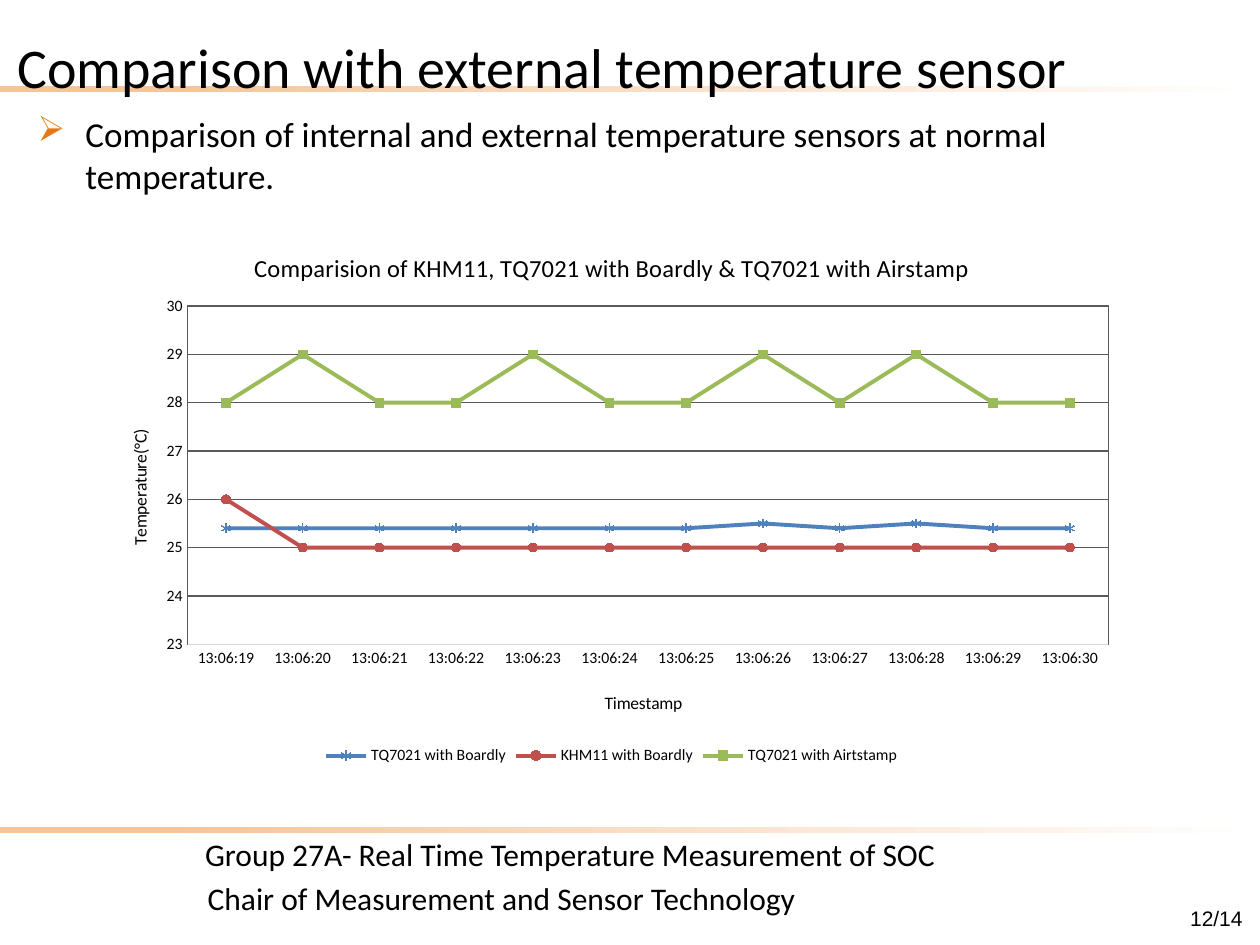
from dataclasses import dataclass

from lxml import etree
from pptx import Presentation
from pptx import util as u
from pptx.chart.data import CategoryChartData
from pptx.dml.color import RGBColor
from pptx.enum import chart as ch, shapes, text
from pptx.oxml import parse_xml
from pptx.oxml.ns import nsdecls, qn


@dataclass(frozen=True)
class Theme:
    font: str = "Calibri"
    number_font: str = "Arial"
    ink: str = "000000"
    band: str = "F5C599"
    paper: str = "FFFFFF"
    bullet: str = "E67716"
    grid: str = "595959"
    axis: str = "D9D9D9"
    title: int = 32
    body: int = 20
    footer: int = 18
    chart_title: int = 14
    number: int = 12
    axis_title: int = 10
    label: int = 9


T = Theme()
COLS, ROWS = 100, 75
prs = Presentation()
prs.slide_width, prs.slide_height = u.Inches(10), u.Inches(7.5)
COL, ROW = prs.slide_width / COLS, prs.slide_height / ROWS

CATEGORIES = [f"13:06:{second}" for second in range(19, 31)]
SERIES = [
    ("TQ7021 with Boardly", [25.4] * 7 + [25.5, 25.4, 25.5, 25.4, 25.4],
     "4F81BD", ch.XL_MARKER_STYLE.STAR),
    ("KHM11 with Boardly", [26] + [25] * 11,
     "C0504D", ch.XL_MARKER_STYLE.CIRCLE),
    ("TQ7021 with Airtstamp", [28, 29, 28, 28, 29, 28, 28, 29, 28, 29, 28, 28],
     "9BBB59", ch.XL_MARKER_STYLE.SQUARE),
]


def place(box):
    x, y, w, h = box
    return [u.Emu(round(n)) for n in (x * COL, y * ROW, w * COL, h * ROW)]


def style(font, size, name=T.font):
    font.size, font.name, font.bold = u.Pt(size), name, False
    font.color.rgb = RGBColor.from_string(T.ink)


def add_text(slide, box, words, size, name=T.font):
    tf = slide.shapes.add_textbox(*place(box)).text_frame
    tf.word_wrap = True
    p = tf.paragraphs[0]
    p.text = words
    style(p.font, size, name)
    return tf


def add_band(slide, box):
    sp = slide.shapes.add_shape(shapes.MSO_SHAPE.RECTANGLE, *place(box))
    sp.shadow.inherit = False
    sp.line.fill.background()
    sp.fill.gradient()
    sp.fill.gradient_angle = 0
    for stop, position, color in zip(
            sp.fill.gradient_stops, (0.13, 1), (T.band, T.paper)):
        stop.position = position
        stop.color.rgb = RGBColor.from_string(color)


def add_heading(slide, box):
    tf = add_text(slide, box, "Comparison with external temperature sensor", T.title)
    tf.vertical_anchor = text.MSO_ANCHOR.MIDDLE
    tf.paragraphs[0].line_spacing = 2.0


def add_bullet(slide, box):
    tf = add_text(slide, box, "Comparison of internal and external temperature "
                  "sensors at normal temperature.", T.body)
    pPr = tf.paragraphs[0]._p.get_or_add_pPr()
    indent = u.Inches(0.38)
    pPr.set("marL", str(indent))
    pPr.set("indent", str(-indent))
    color = parse_xml(f'<a:buClr {nsdecls("a")}><a:srgbClr val="{T.bullet}"/></a:buClr>')
    mark = parse_xml(f'<a:buChar {nsdecls("a")} char="➢"/>')
    pPr.insert(0, color)
    pPr.insert(1, mark)


def add_footer(slide, box):
    x, y, w, h = box
    add_band(slide, (x, y, w, 0.5))
    add_text(slide, (x + 15.3, y + 0.2, 64.6, 4.7),
             "Group 27A- Real Time Temperature Measurement of SOC", T.footer)
    add_text(slide, (x + 15.5, y + 3.7, 49, 4.7),
             "Chair of Measurement and Sensor Technology", T.footer)
    tf = add_text(slide, (x + 91.7, y + 5.8, 7.9, 3), "12/14", T.number, T.number_font)
    tf.paragraphs[0].alignment = text.PP_ALIGN.RIGHT


def set_layout(parent, inner=False, **shares):
    for old in parent.findall(qn("c:layout")):
        parent.remove(old)
    layout = etree.Element(qn("c:layout"))
    manual = etree.SubElement(layout, qn("c:manualLayout"))
    if inner:
        etree.SubElement(manual, qn("c:layoutTarget")).set("val", "inner")
    for key in ("x", "y"):
        etree.SubElement(manual, qn(f"c:{key}Mode")).set("val", "edge")
    for key, share in shares.items():
        etree.SubElement(manual, qn(f"c:{key}")).set("val", str(share))
    before = parent.find(qn("c:tx"))
    parent.insert(0 if before is None else parent.index(before) + 1, layout)


def set_title(owner, words, size, x, y):
    title = owner.chart_title if hasattr(owner, "chart_title") else owner.axis_title
    p = title.text_frame.paragraphs[0]
    p.text = words
    style(p.font, size)
    style(p.runs[0].font, size)
    set_layout(title._element, x=x, y=y)


def style_line(line, color, width):
    line.color.rgb = RGBColor.from_string(color)
    line.width = u.Pt(width)


def style_axis(axis):
    axis.major_tick_mark = axis.minor_tick_mark = ch.XL_TICK_MARK.NONE
    style(axis.tick_labels.font, T.label)


def style_series(series, color, marker):
    series.smooth = False
    style_line(series.format.line, color, 2.25)
    series.marker.style, series.marker.size = marker, 5
    fill = series.marker.format.fill
    if marker == ch.XL_MARKER_STYLE.STAR:
        fill.background()
    else:
        fill.solid()
        fill.fore_color.rgb = RGBColor.from_string(color)
    style_line(series.marker.format.line, color, 0.75)


def add_temperature_chart(slide, box):
    data = CategoryChartData()
    data.categories = CATEGORIES
    for name, values, _, _ in SERIES:
        data.add_series(name, values)
    chart = slide.shapes.add_chart(
        ch.XL_CHART_TYPE.LINE_MARKERS, *place(box), data).chart
    style(chart.font, T.axis_title)
    plot = chart.plots[0]
    plot.vary_by_categories = False
    for series, (_, _, color, marker) in zip(plot.series, SERIES):
        style_series(series, color, marker)

    category, value = chart.category_axis, chart.value_axis
    for axis in (category, value):
        style_axis(axis)
    style_line(category.format.line, T.axis, 0.75)
    value.format.line.fill.background()
    value.minimum_scale, value.maximum_scale, value.major_unit = 23, 30, 1
    style_line(value.major_gridlines.format.line, T.grid, 0.75)

    set_title(chart, "Comparision of KHM11, TQ7021 with Boardly & TQ7021 with Airstamp",
              T.chart_title, 0.15, 0.04)
    set_title(category, "Timestamp", T.axis_title, 0.49, 0.85)
    set_title(value, "Temperature(°C)", T.axis_title, 0.03, 0.37)
    area = chart._chartSpace.chart.plotArea
    set_layout(area, inner=True, x=0.09, y=0.15, w=0.89, h=0.62)
    area.append(parse_xml(
        f'<c:spPr {nsdecls("c", "a")}><a:noFill/><a:ln w="{u.Pt(0.75)}"><a:solidFill>'
        f'<a:srgbClr val="{T.grid}"/></a:solidFill></a:ln></c:spPr>'))

    chart.has_legend = True
    chart.legend.position = ch.XL_LEGEND_POSITION.BOTTOM
    chart.legend.include_in_layout = False
    style(chart.legend.font, T.label)


def build_slide():
    slide = prs.slides.add_slide(prs.slide_layouts[6])
    add_band(slide, (0, 6.8, COLS, 0.5))
    add_footer(slide, (0, 65.6, COLS, 9.4))
    add_heading(slide, (0.4, -1.1, 95.5, 7.3))
    add_bullet(slide, (2, 8.4, 96.1, 4.7))
    add_temperature_chart(slide, (7.5, 17.8, 82.1, 43.3))


if __name__ == "__main__":
    build_slide()
    prs.save("out.pptx")
